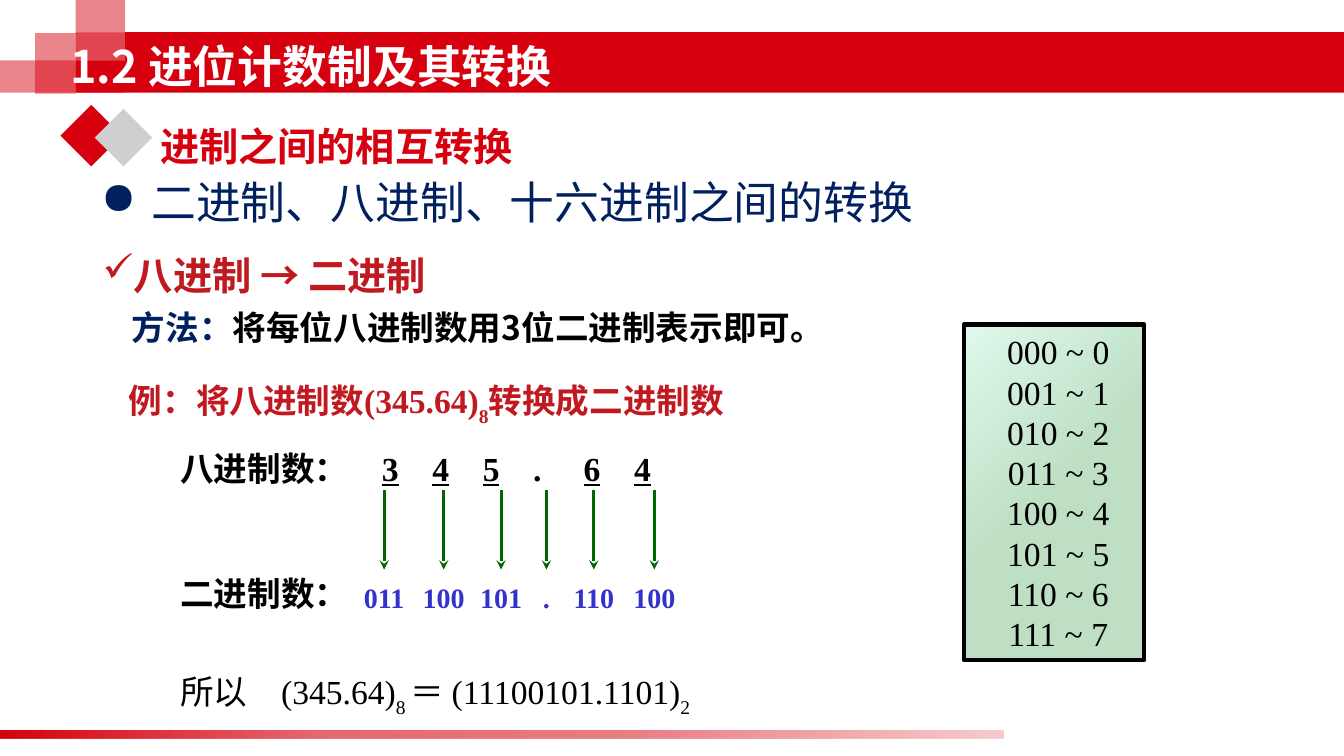
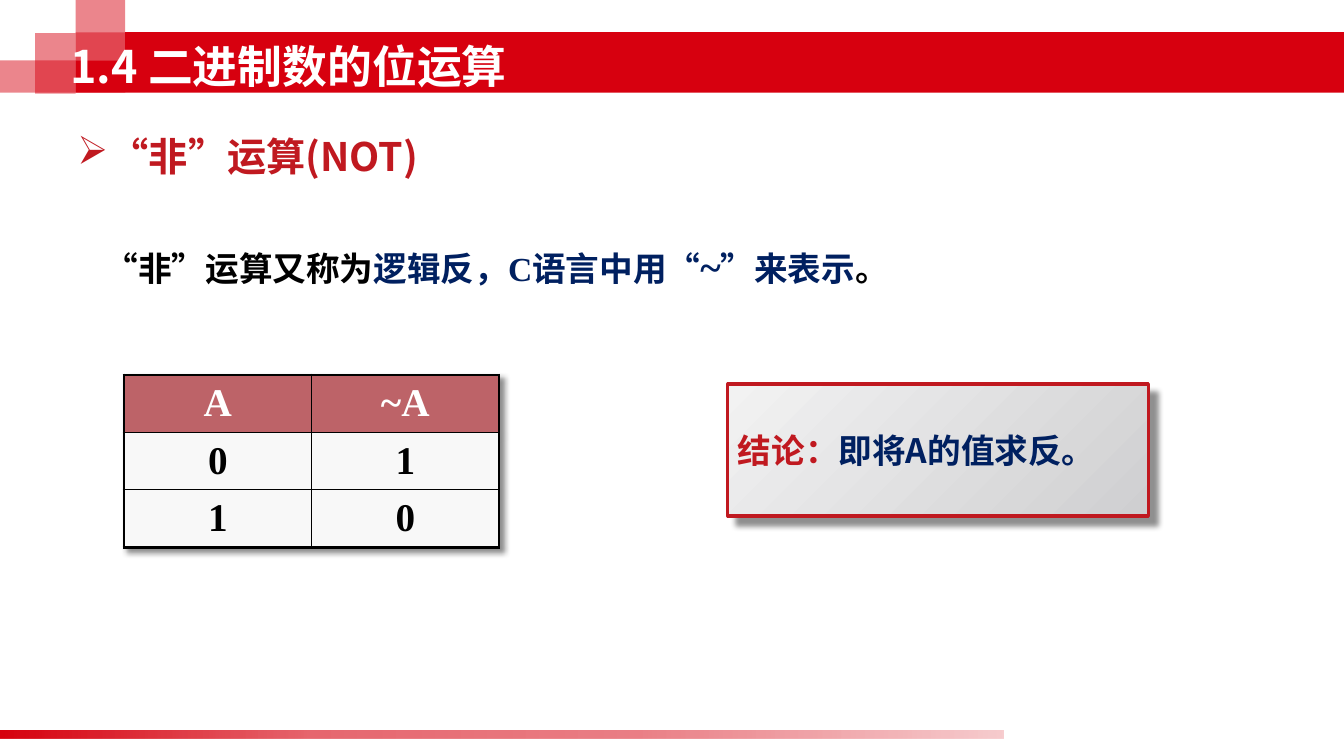
from dataclasses import dataclass

from lxml.etree import Element, SubElement as Sub
from pptx import Presentation
from pptx.dml.color import RGBColor as RGB
from pptx.enum.shapes import MSO_CONNECTOR as Conn, MSO_SHAPE as Form
from pptx.enum.text import MSO_ANCHOR as Anchor, PP_ALIGN as Align
from pptx.oxml.ns import qn
from pptx.util import Inches, Pt


@dataclass(frozen=True)
class Theme:
    red: str = "D7000F"
    deep: str = "C01920"
    navy: str = "002060"
    blue: str = "3333CC"
    green: str = "006600"
    mint: str = "BEDFC4"
    pale: str = "DEF9EC"
    rose: str = "BD6368"
    gray: str = "CFCFD1"
    light: str = "F2F2F2"
    cell: str = "F8F8F8"
    black: str = "000000"
    white: str = "FFFFFF"
    sans: str = "Noto Sans CJK SC"
    serif: str = "Times New Roman"
    title: int = 32
    head: int = 28
    body: int = 24
    small: int = 20


T = Theme()


@dataclass
class Run:
    text: str
    color: str = T.black
    size: int = T.body
    font: str = T.sans
    bold: bool = True
    under: bool = False
    sub: bool = False


def add_run(para, spec):
    run = para.add_run()
    run.text = spec.text
    font = run.font
    font.size = Pt(spec.size)
    font.bold = spec.bold
    font.name = spec.font
    font.color.rgb = RGB.from_string(spec.color)
    if spec.under:
        font.underline = True
    props = run._r.get_or_add_rPr()
    if spec.sub:
        props.set("baseline", "-30000")
    Sub(props, qn("a:ea"), typeface=T.sans)


def add_para(frame, runs, align=Align.LEFT, mark=None, left=0, hang=0,
             tabs=(), before=0, line=None):
    first = not frame.paragraphs[0].runs
    para = frame.paragraphs[0] if first else frame.add_paragraph()
    props = para._p.get_or_add_pPr()
    props.set("marL", str(Inches(left)))
    props.set("indent", str(-Inches(hang)))
    if mark:
        Sub(props, qn("a:buChar"), char=mark)
    else:
        Sub(props, qn("a:buNone"))
    if tabs:
        stops = Sub(props, qn("a:tabLst"))
        for pos in tabs:
            Sub(stops, qn("a:tab"), pos=str(Inches(pos)), algn="l")
    para.alignment = align
    if before:
        para.space_before = Pt(before)
    if line:
        para.line_spacing = Pt(line)
    for spec in runs:
        add_run(para, spec)


def add_text(slide, at, runs=(), anchor=Anchor.TOP, **style):
    frame = slide.shapes.add_textbox(*map(Inches, at)).text_frame
    frame.word_wrap = True
    frame.vertical_anchor = anchor
    if runs:
        add_para(frame, runs, **style)
    return frame


def add_form(slide, at, fill, form=Form.RECTANGLE, alpha=None):
    shape = slide.shapes.add_shape(form, *map(Inches, at))
    shape.shadow.inherit = False
    shape.line.fill.background()
    shape.fill.solid()
    shape.fill.fore_color.rgb = RGB.from_string(fill)
    if alpha:
        color = shape._element.spPr.find(qn("a:solidFill"))[0]
        Sub(color, qn("a:alpha"), val=str(alpha * 1000))
    return shape


def add_fade(slide, at, stops, angle):
    shape = add_form(slide, at, stops[0][1])
    fade = Element(qn("a:gradFill"), rotWithShape="1")
    marks = Sub(fade, qn("a:gsLst"))
    for pos, color, alpha in stops:
        mark = Sub(marks, qn("a:gs"), pos=str(pos * 1000))
        tint = Sub(mark, qn("a:srgbClr"), val=color)
        if alpha < 100:
            Sub(tint, qn("a:alpha"), val=str(alpha * 1000))
    Sub(fade, qn("a:lin"), ang=str(angle * 60000), scaled="0")
    props = shape._element.spPr
    props.replace(props.find(qn("a:solidFill")), fade)
    return shape


def set_line(shape, color, width):
    shape.line.color.rgb = RGB.from_string(color)
    shape.line.width = Pt(width)


def cast(effects, dist):
    shade = Sub(effects, qn("a:outerShdw"), blurRad=str(Pt(4)),
                dist=str(Pt(dist)), dir="2700000", algn="tl",
                rotWithShape="0")
    color = Sub(shade, qn("a:srgbClr"), val=T.black)
    Sub(color, qn("a:alpha"), val="43000")


def add_arrow(slide, x, top, end):
    arrow = slide.shapes.add_connector(
        Conn.STRAIGHT, Inches(x), Inches(top), Inches(x), Inches(end))
    set_line(arrow, T.green, 2.25)
    Sub(arrow.line._get_or_add_ln(), qn("a:tailEnd"), type="stealth")
    Sub(arrow._element.spPr, qn("a:effectLst"))


def set_edges(cell, widths):
    props = cell._tc.get_or_add_tcPr()
    for i, (side, width) in enumerate(zip("LRTB", widths)):
        edge = Element(qn("a:ln" + side), w=str(Pt(width)))
        fill = Sub(edge, qn("a:solidFill"))
        Sub(fill, qn("a:srgbClr"), val=T.black)
        props.insert(i, edge)


def add_grid(slide, left, top, rows, wide, high):
    rown, coln = len(rows), len(rows[0])
    table = slide.shapes.add_table(
        rown, coln, Inches(left), Inches(top),
        Inches(wide * coln), Inches(high * rown)).table
    table.horz_banding = False
    effects = Element(qn("a:effectLst"))
    cast(effects, 4)
    table._tbl.tblPr.insert(0, effects)
    for r, row in enumerate(rows):
        table.rows[r].height = Inches(high)
        for c, text in enumerate(row):
            cell = table.cell(r, c)
            outer = (c == 0, c == coln - 1, r == 0, r == rown - 1)
            set_edges(cell, [2.25 if edge else 1 for edge in outer])
            cell.fill.solid()
            cell.fill.fore_color.rgb = RGB.from_string(
                T.cell if r else T.rose)
            cell.vertical_anchor = Anchor.MIDDLE
            add_para(cell.text_frame, [
                Run(text, T.black if r else T.white, T.head, T.serif)],
                align=Align.CENTER)


def add_page(deck, title):
    slide = deck.slides.add_slide(deck.slide_layouts[6])
    add_form(slide, (1.24, 0.32, 12.09, 0.6), T.red)
    for at in ((0, 0.6, 1.24, 0.32), (0.35, 0.33, 0.4, 0.6),
               (0.75, 0, 0.49, 0.6), (0.75, 0.32, 0.49, 0.28)):
        add_form(slide, at, T.red, alpha=48)
    add_form(slide, (0.75, 0.6, 0.49, 0.32), T.red)
    add_fade(slide, (0, 7.25, 9.95, 0.08),
             [(0, T.red, 100), (31, T.red, 60), (64, T.red, 50),
              (100, T.red, 20)], 0)
    add_text(slide, (0.6, 0.32, 8.9, 0.67),
             [Run(title, T.white, T.title)], Anchor.MIDDLE)
    return slide


def add_codes(slide):
    panel = add_fade(slide, (9.56, 3.22, 1.79, 3.33),
                     [(0, T.mint, 100), (50, T.mint, 100),
                      (100, T.pale, 100)], 225)
    set_line(panel, T.black, 3)
    frame = panel.text_frame
    frame.margin_left = Inches(0.18)
    frame.vertical_anchor = Anchor.MIDDLE
    for n in range(8):
        add_para(frame, [Run(f"{n:03b} ~ {n}", font=T.serif, bold=False)],
                 align=Align.CENTER)


def add_digits(slide):
    runs = [Run("八进制数：")]
    for digit in "345.64":
        runs += [Run("\t", font=T.serif),
                 Run(digit, font=T.serif, under=digit != ".")]
    add_text(slide, (1.69, 4.39, 5.56, 0.5), runs, Anchor.MIDDLE,
             tabs=(1.97, 2.55, 3.14, 3.64, 4.05, 4.64))
    add_text(slide, (1.69, 5.63, 1.88, 0.5), [Run("二进制数：")])
    bits = ("011", "100", "101", ".", "110", "100")
    for x, text in zip((3.81, 4.4, 4.97, 5.42, 5.89, 6.49), bits):
        add_arrow(slide, x, 4.86, 5.65)
        add_text(slide, (x - 0.35, 5.71, 0.7, 0.43),
                 [Run(text, T.blue, T.small, T.serif)],
                 Anchor.MIDDLE, align=Align.CENTER)


def add_octal(deck):
    slide = add_page(deck, "1.2 进位计数制及其转换")
    add_form(slide, (0.6, 1.04, 0.61, 0.61), T.red, Form.DIAMOND)
    add_form(slide, (0.94, 1.08, 0.57, 0.57), T.gray, Form.DIAMOND)
    add_text(slide, (1.49, 1.16, 4.55, 0.57),
             [Run("进制之间的相互转换", T.red, T.head)])
    topic = add_text(slide, (1, 1.68, 8.98, 0.63))
    topic.margin_left = 0
    add_para(topic, [Run("二进制、八进制、十六进制之间的转换", T.navy,
                         T.title, T.serif, False)],
             mark="●", left=0.5, hang=0.5)
    rule = add_text(slide, (0.92, 2.49, 8.43, 1.26),
                    [Run("八进制 → 二进制", T.deep, T.head)],
                    mark="✓", left=0.31, hang=0.31, line=30)
    add_para(rule, [Run("方法：", T.navy),
                    Run("将每位八进制数用3位二进制表示即可。")],
             left=0.29, before=5, line=30)
    add_text(slide, (1.18, 3.75, 7.24, 0.5), [
        Run("例：将八进制数", T.deep),
        Run("(345.64)", T.deep, font=T.serif),
        Run("8", T.deep, font=T.serif, sub=True),
        Run("转换成二进制数", T.deep)], Anchor.MIDDLE)
    add_digits(slide)
    add_text(slide, (1.69, 6.64, 6.77, 0.5), [
        Run("所以\t", bold=False),
        Run("(345.64)", font=T.serif, bold=False),
        Run("8 ", font=T.serif, bold=False, sub=True),
        Run("＝ (11100101.1101)", font=T.serif, bold=False),
        Run("2", font=T.serif, bold=False, sub=True)],
        Anchor.MIDDLE, tabs=(0.9,))
    add_codes(slide)


def add_not(deck):
    slide = add_page(deck, "1.4 二进制数的位运算")
    frame = add_text(slide, (0.67, 1.26, 12.38, 1.94),
                     [Run("“非”运算(NOT)", T.deep, T.head)],
                     mark="➢", left=0.32, hang=0.32)
    add_para(frame, [
        Run("“非”运算又称为", font=T.serif),
        Run("逻辑反，C语言中用“", T.navy, font=T.serif),
        Run("~", T.navy, T.head, T.serif),
        Run("”来表示", T.navy, font=T.serif),
        Run("。", font=T.serif)], left=0.27, before=45)
    add_grid(slide, 1.23, 3.72, (("A", "~A"), ("0", "1"), ("1", "0")),
             1.86, 0.57)
    note = add_fade(slide, (7.22, 3.81, 4.17, 1.31),
                    [(0, T.gray, 100), (100, T.light, 100)], 225)
    set_line(note, T.deep, 2.25)
    cast(note._element.spPr.find(qn("a:effectLst")), 8.4)
    note.text_frame.vertical_anchor = Anchor.MIDDLE
    add_para(note.text_frame, [Run("结论：", T.deep),
                               Run("即将A的值求反。", T.navy)])


def main():
    deck = Presentation()
    deck.slide_width = Inches(13.33)
    deck.slide_height = Inches(7.5)
    add_octal(deck)
    add_not(deck)
    deck.save("out.pptx")


if __name__ == "__main__":
    main()
